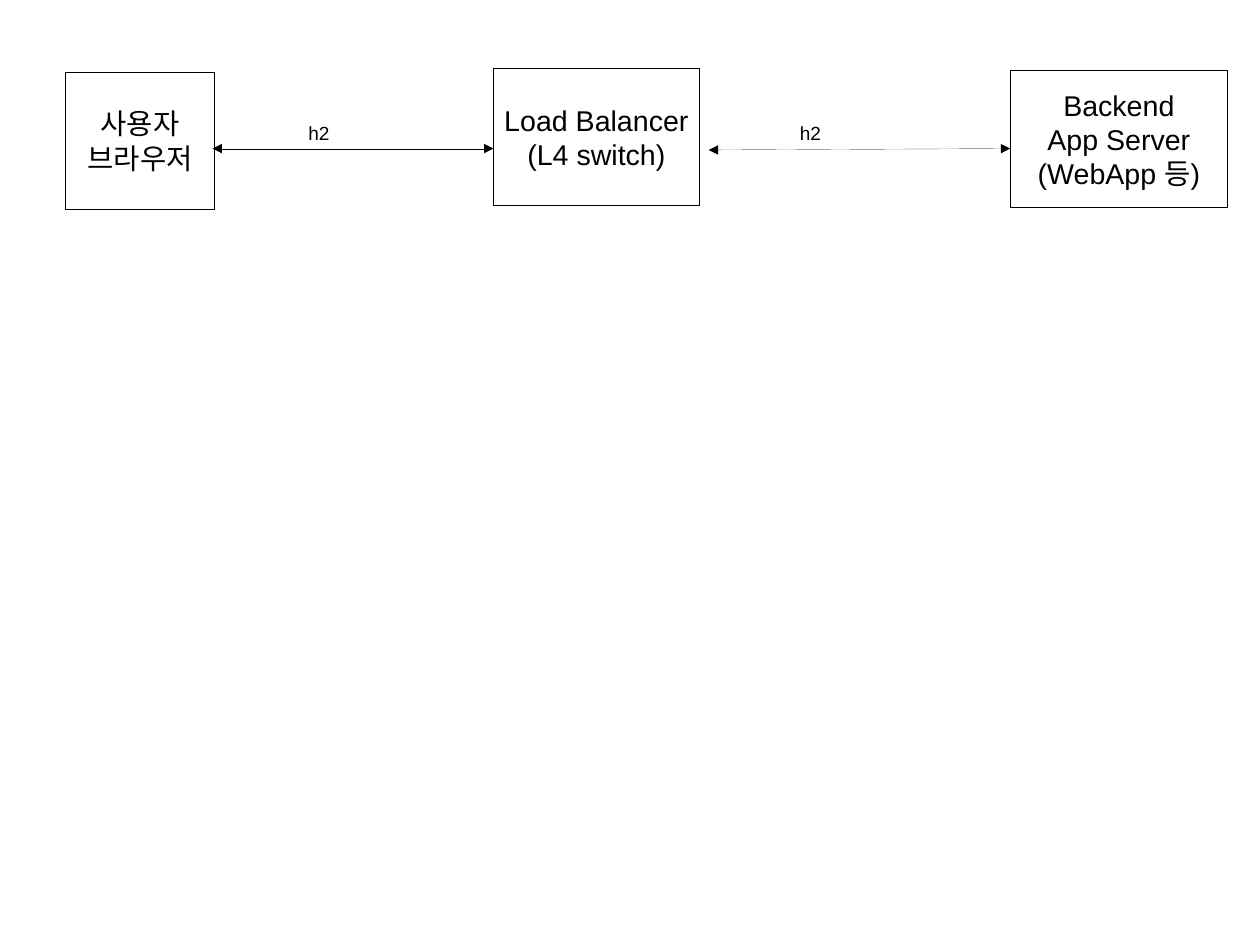
from dataclasses import dataclass

from lxml import etree
from pptx import Presentation
from pptx.dml.color import RGBColor
from pptx.enum import shapes, text
from pptx.oxml import ns
from pptx.util import Pt

INK = {"line": "000000", "text": "000000", "fill": "FFFFFF"}
FONT = "Arial"
HIGH = 86.4  # height of every node


@dataclass
class Node:
    left: float
    top: float
    width: float
    lines: list[str]


@dataclass
class Link:
    start: tuple[float, float]
    end: tuple[float, float]
    label: str
    left: float  # left edge of the label


NODES = [
    Node(310.9, 43.2, 129.6, ["Load Balancer", "(L4 switch)"]),
    Node(636.4, 44.5, 136.8, ["Backend", "App Server", "(WebApp 등)"]),
    Node(41.5, 45.4, 93.6, ["사용자", "브라우저"]),
]
LINKS = [
    Link((133.9, 93.6), (310.9, 93.6), "h2", 187.2),
    Link((446.4, 94.5), (636.4, 93.6), "h2", 496.8),
]


def color(name: str) -> RGBColor:
    return RGBColor.from_string(INK[name])


def hairline(shape):
    """Give the outline an explicit zero width, the thinnest line."""
    shape.line.color.rgb = color("line")
    line = shape.line._get_or_add_ln()
    line.set("w", "0")
    return line


def write(frame, lines: list[str], size: float, align) -> None:
    frame.text = "\n".join(lines)
    for para in frame.paragraphs:
        para.alignment = align
        para.font.name = FONT
        para.font.size = Pt(size)
        para.font.color.rgb = color("text")


def draw_node(slide, node: Node) -> None:
    box = slide.shapes.add_shape(
        shapes.MSO_SHAPE.RECTANGLE,
        Pt(node.left), Pt(node.top), Pt(node.width), Pt(HIGH))
    box.shadow.inherit = False
    box.fill.solid()
    box.fill.fore_color.rgb = color("fill")
    hairline(box)
    frame = box.text_frame
    frame.word_wrap = False
    frame.vertical_anchor = text.MSO_ANCHOR.MIDDLE
    write(frame, node.lines, 18, text.PP_ALIGN.CENTER)


def draw_label(slide, link: Link) -> None:
    box = slide.shapes.add_textbox(Pt(link.left), Pt(72.7), Pt(79.2), Pt(20.9))
    frame = box.text_frame
    frame.word_wrap = True
    frame.auto_size = text.MSO_AUTO_SIZE.SHAPE_TO_FIT_TEXT
    write(frame, [link.label], 12, text.PP_ALIGN.LEFT)


def draw_arrow(slide, link: Link) -> None:
    ends = [Pt(v) for v in (*link.start, *link.end)]
    arrow = slide.shapes.add_connector(shapes.MSO_CONNECTOR.STRAIGHT, *ends)
    line = hairline(arrow)
    # Arrowheads at both ends, no shadow
    for tag in ("a:headEnd", "a:tailEnd"):
        etree.SubElement(line, ns.qn(tag), type="triangle")
    etree.SubElement(arrow._element.spPr, ns.qn("a:effectLst"))


def main() -> None:
    deck = Presentation()
    # 28 by 21 cm
    deck.slide_width, deck.slide_height = Pt(793.7), Pt(595.28)
    slide = deck.slides.add_slide(deck.slide_layouts[6])

    # Nodes of the request path
    for node in NODES:
        draw_node(slide, node)

    # Protocol labels, then arrows
    for link in LINKS:
        draw_label(slide, link)
    for link in LINKS:
        draw_arrow(slide, link)

    deck.save("out.pptx")


if __name__ == "__main__":
    main()
